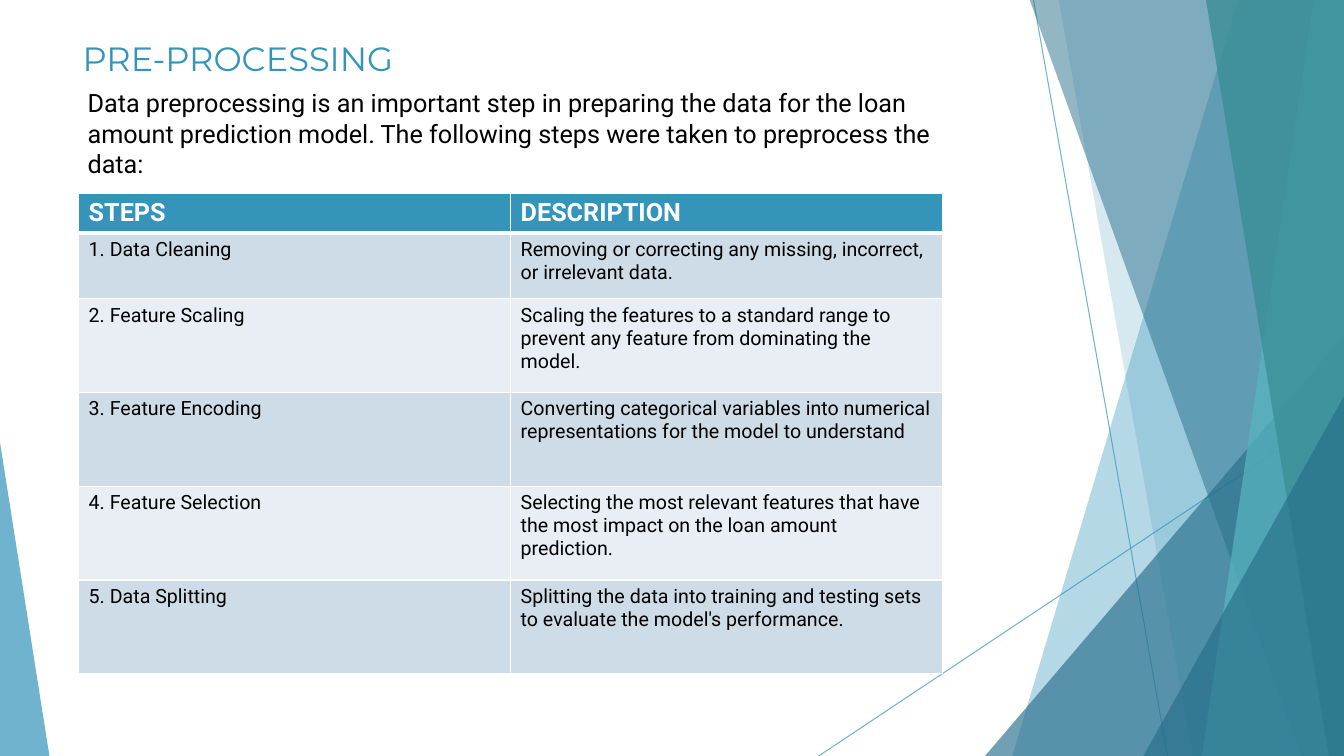
from lxml import etree
from pptx import Presentation
from pptx import util as u
from pptx.dml.color import RGBColor
from pptx.enum import shapes, text
from pptx.oxml.ns import qn

WIDTH, HEIGHT = 13.33, 7.5
TOP = -0.01
BLUE, NAVY, TEAL, SEA = "3494BA", "276F8B", "58B6C0", "3A8F98"
WHITE, BLACK = "FFFFFF", "000000"
ROW_FILLS = ("CEDCE7", "E8EEF3")

STEPS = [
    ("STEPS", "DESCRIPTION"),
    ("1. Data Cleaning",
     "Removing or correcting any missing, incorrect, or irrelevant data."),
    ("2. Feature Scaling",
     "Scaling the features to a standard range to prevent any feature from dominating the model."),
    ("3. Feature Encoding",
     "Converting categorical variables into numerical representations for the model to understand"),
    ("4. Feature Selection",
     "Selecting the most relevant features that have the most impact on the loan amount prediction."),
    ("5. Data Splitting",
     "Splitting the data into training and testing sets to evaluate the model's performance."),
]
ROW_HEIGHTS = [0.37, 0.65] + [0.93] * 4
INTRO = ("Data preprocessing is an important step in preparing the data for the loan amount "
         "prediction model. The following steps were taken to preprocess the data:")


def rgb(value):
    return RGBColor.from_string(value)


def set_alpha(fill_parent, percent):
    """Make the solid fill directly under fill_parent partly transparent."""
    color = fill_parent.find(qn("a:solidFill"))[0]
    etree.SubElement(color, qn("a:alpha")).set("val", str(percent * 1000))


class SlideBuilder:
    heading_font = "Montserrat"
    body_font = "Roboto"

    def __init__(self, slide):
        self.slide = slide
        self.shapes = slide.shapes

    def set_text(self, frame, words, size, color, font=body_font, bold=False):
        frame.text = words
        paragraph = frame.paragraphs[0]
        paragraph.alignment = text.PP_ALIGN.LEFT
        style = paragraph.runs[0].font
        style.name, style.size, style.bold = font, u.Pt(size), bold
        style.color.rgb = rgb(color)

    def title(self, words, left, top, width, height):
        heading = self.shapes.title
        heading.left, heading.top = u.Inches(left), u.Inches(top)
        heading.width, heading.height = u.Inches(width), u.Inches(height)
        self.set_text(heading.text_frame, words, 24, BLUE, self.heading_font)
        heading.text_frame.word_wrap = False
        heading.text_frame.auto_size = text.MSO_AUTO_SIZE.NONE
        heading.text_frame.vertical_anchor = text.MSO_ANCHOR.TOP

    def paragraph(self, words, left, top, width, height):
        box = self.shapes.add_textbox(*map(u.Inches, (left, top, width, height)))
        box.text_frame.word_wrap = True
        self.set_text(box.text_frame, words, 18, BLACK)

    def hairline(self, start, end):
        line = self.shapes.add_connector(
            shapes.MSO_CONNECTOR.STRAIGHT, *map(u.Inches, start + end))
        line.line.color.rgb = rgb(BLUE)
        line.line.width = u.Pt(0.75)
        properties = line._element.spPr
        set_alpha(properties.find(qn("a:ln")), 70)
        etree.SubElement(properties, qn("a:effectLst"))

    def tint(self, shape, color, opacity):
        shape.shadow.inherit = False
        shape.fill.solid()
        shape.fill.fore_color.rgb = rgb(color)
        set_alpha(shape._element.spPr, opacity)
        shape.line.fill.background()

    def band(self, top_left, bottom_left, color, opacity):
        """Draw a slanted band that reaches to the right edge of the slide."""
        corners = [(WIDTH, TOP), (WIDTH, HEIGHT), (bottom_left, HEIGHT)]
        outline = self.shapes.build_freeform(
            u.Inches(top_left), u.Inches(TOP))
        outline.add_line_segments([(u.Inches(x), u.Inches(y)) for x, y in corners])
        self.tint(outline.convert_to_shape(), color, opacity)

    def wedge(self, left, width, height, apex, color, opacity):
        """Draw a triangle standing on the bottom edge, its apex at 0 (left) to 1 (right)."""
        triangle = self.shapes.add_shape(
            shapes.MSO_SHAPE.ISOSCELES_TRIANGLE,
            *map(u.Inches, (left, HEIGHT - height, width, height)))
        triangle.adjustments[0] = apex
        self.tint(triangle, color, opacity)

    def cell_borders(self, cell, bottom, top):
        properties = cell._tc.get_or_add_tcPr()
        for side, points in (("L", 1), ("R", 1), ("T", top), ("B", bottom)):
            border = etree.SubElement(properties, qn("a:ln" + side), w=str(u.Pt(points)))
            fill = etree.SubElement(border, qn("a:solidFill"))
            etree.SubElement(fill, qn("a:srgbClr"), val=WHITE)

    def table(self, rows, heights, left, top, width):
        columns = len(rows[0])
        grid = self.shapes.add_table(
            len(rows), columns, u.Inches(left), u.Inches(top),
            u.Inches(width), u.Inches(sum(heights))).table
        for i, (row, height) in enumerate(zip(rows, heights)):
            grid.rows[i].height = u.Inches(height)
            header = i == 0
            for j, words in enumerate(row):
                cell = grid.cell(i, j)
                self.cell_borders(cell, bottom=3 if header else 1, top=3 if i == 1 else 1)
                cell.fill.solid()
                cell.fill.fore_color.rgb = rgb(BLUE if header else ROW_FILLS[(i - 1) % 2])
                self.set_text(cell.text_frame, words, 18 if header else 14,
                              WHITE if header else BLACK, bold=header)


def main():
    deck = Presentation()
    deck.slide_width, deck.slide_height = u.Inches(WIDTH), u.Inches(HEIGHT)
    page = SlideBuilder(deck.slides.add_slide(deck.slide_layouts[5]))

    page.hairline((10.25, 0), (11.58, HEIGHT))
    page.hairline((WIDTH, 4.03), (8.12, HEIGHT))
    page.band(12.28, 10.04, BLUE, 36)
    page.band(10.5, 11.83, BLUE, 20)
    page.wedge(9.77, 3.56, 4.17, 1, NAVY, 66)
    page.band(10.21, 12.91, NAVY, 50)
    page.band(13.03, 11.92, TEAL, 70)
    page.band(11.96, 13.18, SEA, 80)
    page.wedge(11.34, 1.99, 3.57, 1, NAVY, 66)
    page.wedge(0, 0.49, 3.11, 0, BLUE, 70)

    page.table(STEPS, ROW_HEIGHTS, 0.78, 1.92, 8.57)
    page.title("PRE-PROCESSING", 0.72, 0.33, 3.53, 0.91)
    page.paragraph(INTRO, 0.77, 0.82, 8.89, 1.01)
    deck.save("out.pptx")


if __name__ == "__main__":
    main()
